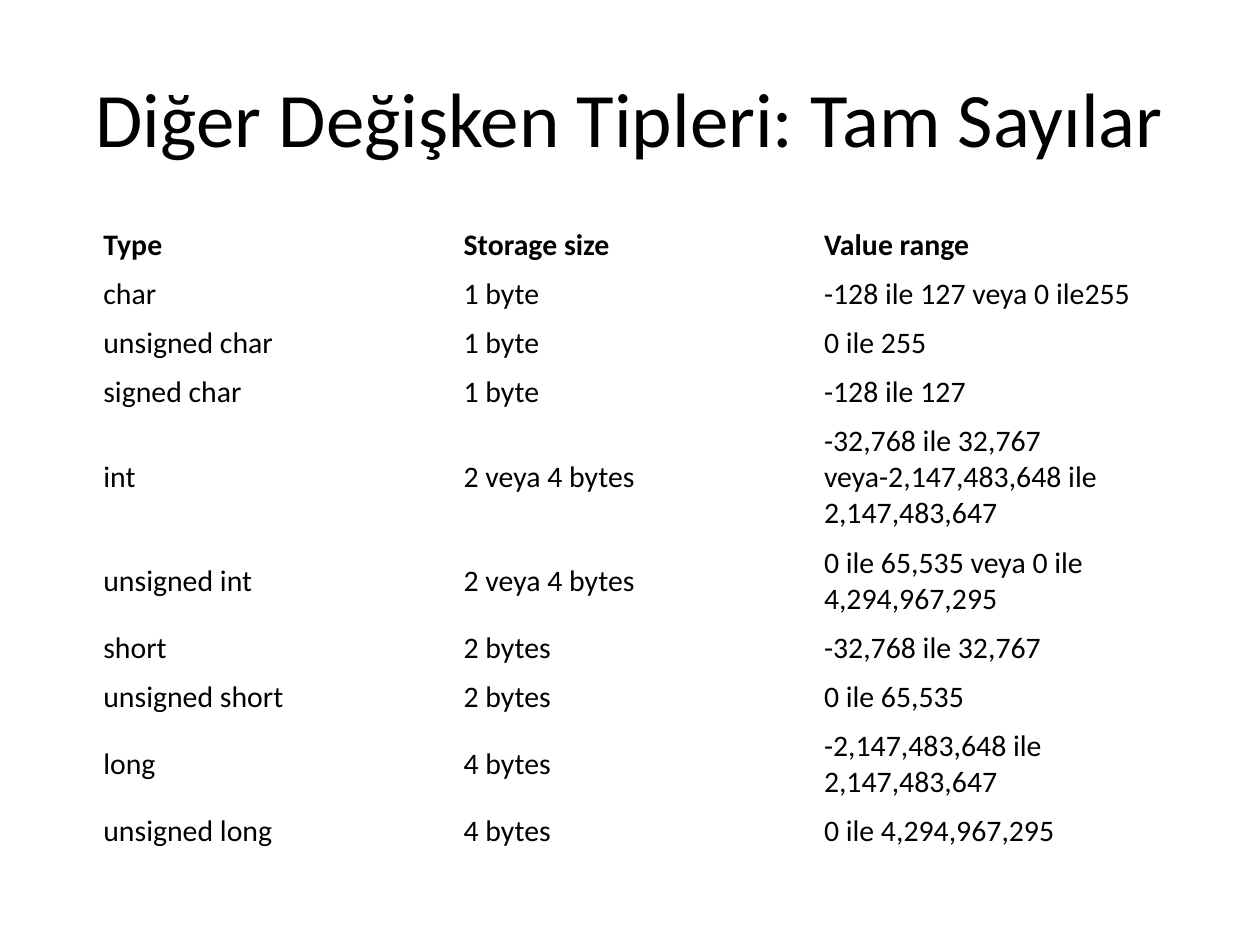
from pptx import Presentation
from pptx.dml.color import RGBColor
from pptx.enum import text
from pptx.util import Inches, Pt

ROW_HEIGHTS = {1: 0.38, 2: 0.67, 3: 0.95}  # by number of text lines
INTEGER_TYPES = [  # type, storage size, value range, text lines
    ("Type", "Storage size", "Value range", 1),
    ("char", "1 byte", "-128 ile 127 veya 0 ile255", 1),
    ("unsigned char", "1 byte", "0 ile 255", 1),
    ("signed char", "1 byte", "-128 ile 127", 1),
    ("int", "2 veya 4 bytes", "-32,768 ile 32,767 veya-2,147,483,648 ile 2,147,483,647", 3),
    ("unsigned int", "2 veya 4 bytes", "0 ile 65,535 veya 0 ile 4,294,967,295", 2),
    ("short", "2 bytes", "-32,768 ile 32,767", 1),
    ("unsigned short", "2 bytes", "0 ile 65,535", 1),
    ("long", "4 bytes", "-2,147,483,648 ile 2,147,483,647", 2),
    ("unsigned long", "4 bytes", "0 ile 4,294,967,295", 1),
]


def style(paragraph, size, bold=False, color="000000"):
    font = paragraph.font
    font.name, font.size, font.bold = "Calibri", Pt(size), bold
    font.color.rgb = RGBColor.from_string(color)


prs = Presentation()
prs.slide_width, prs.slide_height = Inches(10), Inches(7.5)
slide = prs.slides.add_slide(prs.slide_layouts[5])

title = slide.shapes.title
title.left, title.top = Inches(0.5), Inches(0.3)
title.width, title.height = Inches(9), Inches(1.25)
title.text_frame.text = "Diğer Değişken Tipleri: Tam Sayılar"
title.text_frame.vertical_anchor = text.MSO_ANCHOR.MIDDLE
heading = title.text_frame.paragraphs[0]
heading.alignment = text.PP_ALIGN.CENTER
style(heading, 44)

types_table = slide.shapes.add_table(
    len(INTEGER_TYPES), 3, Inches(0.72), Inches(1.75), Inches(8.57), Inches(4.95)
).table
types_table.first_row = types_table.horz_banding = False

for column in types_table.columns:
    column.width = Inches(2.86)

for r, (*entries, lines) in enumerate(INTEGER_TYPES):
    types_table.rows[r].height = Inches(ROW_HEIGHTS[lines])
    for c, entry in enumerate(entries):
        cell = types_table.cell(r, c)
        cell.fill.background()
        cell.vertical_anchor = text.MSO_ANCHOR.MIDDLE
        cell.margin_left = cell.margin_right = Inches(0.1)
        cell.margin_top = cell.margin_bottom = Inches(0.05)
        cell.text = entry
        style(cell.text_frame.paragraphs[0], 17, bold=r == 0)

prs.save("out.pptx")
